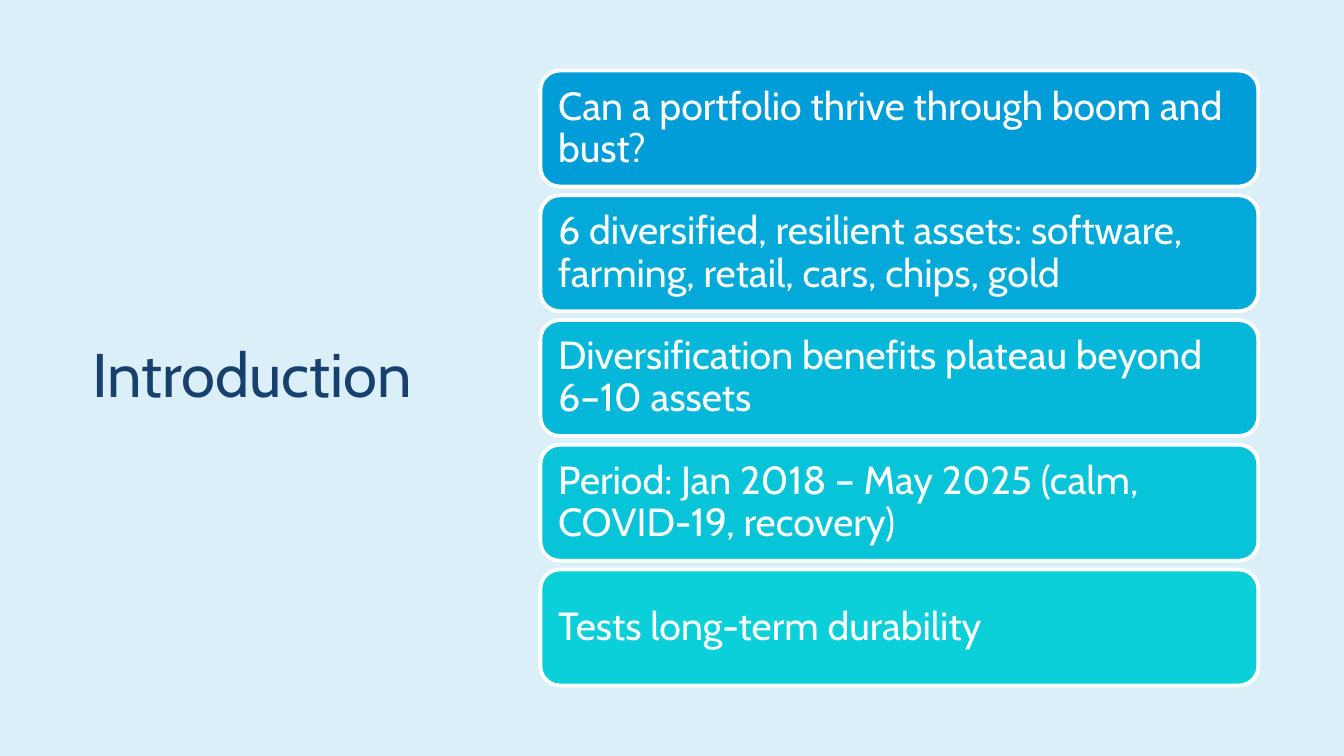
from pptx import Presentation
from pptx.dml.color import RGBColor
from pptx.enum import shapes, text
from pptx.util import Inches, Pt

TITLE = "Introduction"
POINTS = [
    ("Can a portfolio thrive through boom and bust?", "009DD9"),
    ("6 diversified, resilient assets: software, farming, retail, cars, chips, gold", "03AAD9"),
    ("Diversification benefits plateau beyond 6–10 assets", "05B7D9"),
    ("Period: Jan 2018 – May 2025 (calm, COVID-19, recovery)", "08C4D9"),
    ("Tests long-term durability", "0BD0D9"),
]
FONT, NAVY, WHITE, PALE = "Cabin", "17406D", "FFFFFF", "DBEFF9"

# Layout in inches: the title and the card column share top and bottom margins
WIDTH, HEIGHT = 13.33, 7.5
MARGIN = 0.7
TITLE_WIDTH = 3.61
CARD_LEFT, CARD_WIDTH, CARD_HEIGHT = 5.36, 7.12, 1.15
INSET = 0.12
CARD_STEP = (HEIGHT - 2 * MARGIN - CARD_HEIGHT) / (len(POINTS) - 1)


def color(value):
    return RGBColor.from_string(value)


def write(box, words, size, ink, align, spacing):
    frame = box.text_frame
    frame.text = words
    frame.word_wrap = True
    frame.auto_size = text.MSO_AUTO_SIZE.NONE
    frame.vertical_anchor = text.MSO_ANCHOR.MIDDLE
    para = frame.paragraphs[0]
    para.alignment = align
    para.line_spacing = spacing
    font = para.runs[0].font
    font.name, font.size = FONT, Pt(size)
    font.color.rgb = color(ink)


def add_card(page, top, words, fill):
    card = page.shapes.add_shape(
        shapes.MSO_SHAPE.ROUNDED_RECTANGLE,
        Inches(CARD_LEFT), Inches(top), Inches(CARD_WIDTH), Inches(CARD_HEIGHT))
    card.shadow.inherit = False
    card.fill.solid()
    card.fill.fore_color.rgb = color(fill)
    card.line.color.rgb = color(WHITE)
    card.line.width = Pt(2.75)
    frame = card.text_frame
    frame.margin_left = frame.margin_right = Inches(INSET)
    frame.margin_top = frame.margin_bottom = Inches(INSET)
    write(card, words, 28, WHITE, text.PP_ALIGN.LEFT, 0.9)


def main():
    deck = Presentation()
    deck.slide_width, deck.slide_height = Inches(WIDTH), Inches(HEIGHT)
    page = deck.slides.add_slide(deck.slide_layouts.get_by_name("Title Only"))
    page.background.fill.solid()
    page.background.fill.fore_color.rgb = color(PALE)

    # Title on the left
    title = page.shapes.title
    title.left, title.top = Inches(MARGIN), Inches(MARGIN)
    title.width, title.height = Inches(TITLE_WIDTH), Inches(HEIGHT - 2 * MARGIN)
    write(title, TITLE, 44, NAVY, text.PP_ALIGN.CENTER, 0.89)

    # Column of cards on the right
    for row, (words, fill) in enumerate(POINTS):
        add_card(page, MARGIN + row * CARD_STEP, words, fill)

    deck.save("out.pptx")


if __name__ == "__main__":
    main()
